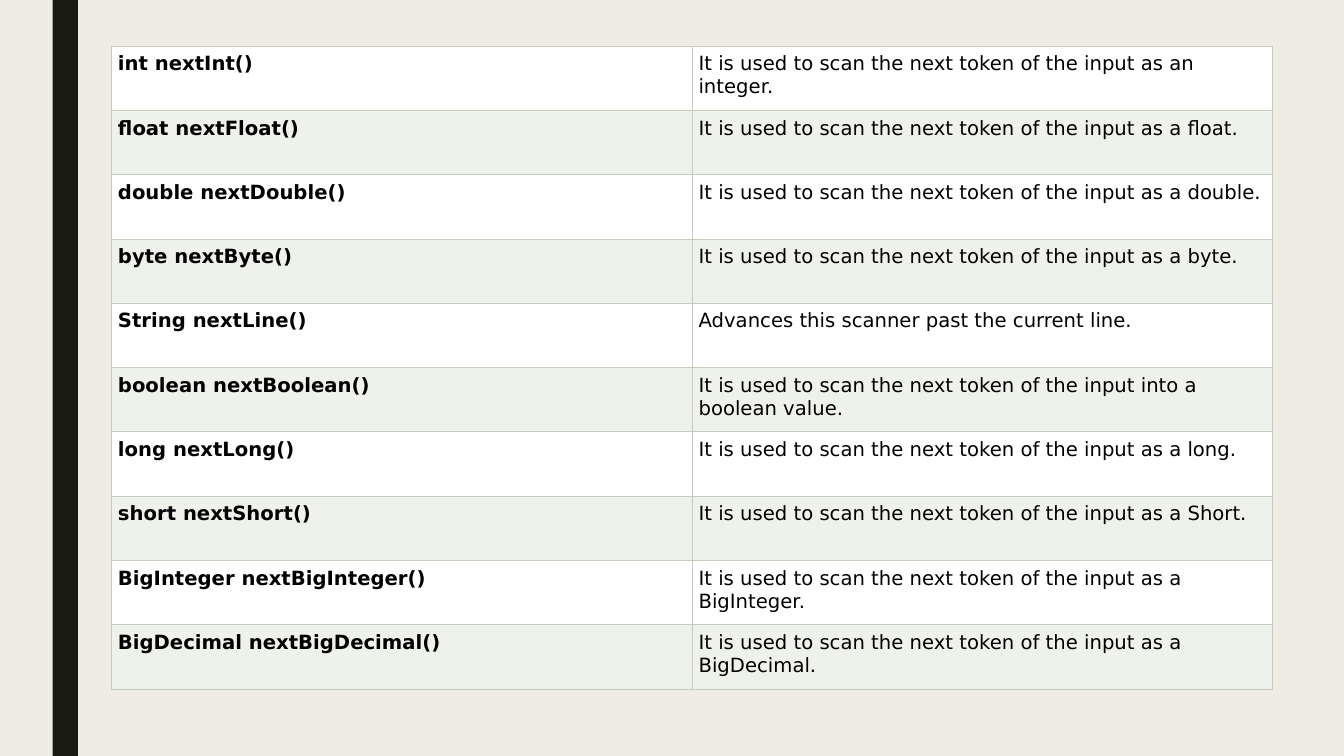
from lxml import etree
from pptx import Presentation
from pptx import util as u
from pptx.dml.color import RGBColor
from pptx.enum import shapes
from pptx.oxml import ns

BACKGROUND = RGBColor(0xEF, 0xED, 0xE3)
BAR = RGBColor(0x19, 0x1B, 0x0E)
BORDER = RGBColor(0xC7, 0xCC, 0xBE)
TEXT = RGBColor(0, 0, 0)
ROW_FILLS = (RGBColor(0xFF, 0xFF, 0xFF), RGBColor(0xEF, 0xF1, 0xEB))

FONT = "DejaVu Sans"
COLUMN_WIDTH = u.Pt(414.72)
ROW_HEIGHT = u.Pt(45.94)
SCAN = "It is used to scan the next token of the input "
METHODS = (
    ("int nextInt()", SCAN + "as an integer."),
    ("float nextFloat()", SCAN + "as a float."),
    ("double nextDouble()", SCAN + "as a double."),
    ("byte nextByte()", SCAN + "as a byte."),
    ("String nextLine()", "Advances this scanner past the current line."),
    ("boolean nextBoolean()", SCAN + "into a boolean value."),
    ("long nextLong()", SCAN + "as a long."),
    ("short nextShort()", SCAN + "as a Short."),
    ("BigInteger nextBigInteger()", SCAN + "as a BigInteger."),
    ("BigDecimal nextBigDecimal()", SCAN + "as a BigDecimal."),
)


def add_side_bar(slide, height):
    shape = slide.shapes.add_shape(
        shapes.MSO_SHAPE.RECTANGLE, u.Pt(37.6), 0, u.Pt(18), height)
    shape.shadow.inherit = False
    shape.fill.solid()
    shape.fill.fore_color.rgb = BAR
    shape.line.fill.background()


def add_borders(cell):
    properties = cell._tc.get_or_add_tcPr()
    for side in ("a:lnL", "a:lnR", "a:lnT", "a:lnB"):
        line = etree.SubElement(properties, ns.qn(side), w=str(u.Pt(0.75)))
        fill = etree.SubElement(line, ns.qn("a:solidFill"))
        etree.SubElement(fill, ns.qn("a:srgbClr"), val=str(BORDER))


def fill_cell(cell, content, color, bold):
    add_borders(cell)
    cell.fill.solid()
    cell.fill.fore_color.rgb = color
    cell.margin_left = cell.margin_right = u.Pt(4.5)
    cell.margin_top = cell.margin_bottom = u.Pt(4.5)
    cell.text = content
    font = cell.text_frame.paragraphs[0].font
    font.name = FONT
    font.size = u.Pt(14)
    font.bold = bold
    font.color.rgb = TEXT


def add_method_table(slide):
    table = slide.shapes.add_table(
        len(METHODS), 2, u.Pt(79.8), u.Pt(33),
        2 * COLUMN_WIDTH, len(METHODS) * ROW_HEIGHT).table
    table.first_row = False
    table.horz_banding = False
    for column in table.columns:
        column.width = COLUMN_WIDTH
    for index, method in enumerate(METHODS):
        table.rows[index].height = ROW_HEIGHT
        for position, content in enumerate(method):
            fill_cell(table.cell(index, position), content,
                      ROW_FILLS[index % 2], position == 0)


def main():
    presentation = Presentation()
    presentation.slide_width = u.Pt(960)
    presentation.slide_height = u.Pt(540)
    slide = presentation.slides.add_slide(presentation.slide_layouts[6])
    slide.background.fill.solid()
    slide.background.fill.fore_color.rgb = BACKGROUND
    add_side_bar(slide, presentation.slide_height)
    add_method_table(slide)
    presentation.save("out.pptx")


if __name__ == "__main__":
    main()
